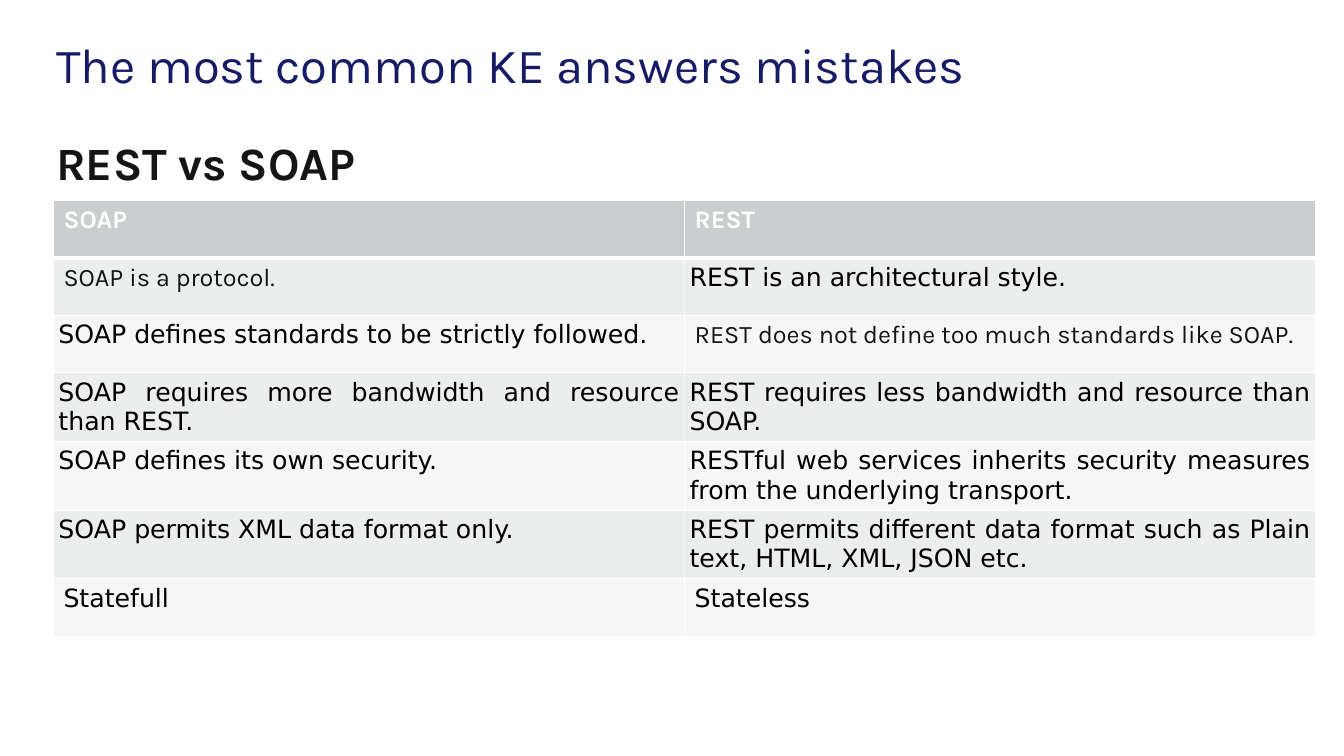
from typing import NamedTuple

from lxml import etree
from pptx import Presentation
from pptx import util as u
from pptx.dml.color import RGBColor
from pptx.enum import text
from pptx.oxml import ns

NAVY = RGBColor(0x17, 0x1B, 0x65)
INK = RGBColor(0x14, 0x15, 0x15)
CELL_INK = RGBColor(0x13, 0x15, 0x15)
BLACK = RGBColor(0x00, 0x00, 0x00)
WHITE = RGBColor(0xFF, 0xFF, 0xFF)
HEADER_FILL = RGBColor(0xCB, 0xCE, 0xCE)
BAND_FILLS = (RGBColor(0xF6, 0xF6, 0xF6), RGBColor(0xEC, 0xED, 0xED))


class Style(NamedTuple):
    font: str
    size: float
    color: RGBColor
    bold: bool = False


class Entry(NamedTuple):
    words: str
    style: Style
    justified: bool = False


TITLE = Style("Karla", 35, NAVY)
SUBTITLE = Style("Karla", 33, INK, True)
HEADER = Style("Karla", 18, WHITE, True)
KARLA = Style("Karla", 18, CELL_INK)
DEJAVU = Style("DejaVu Sans", 18, BLACK)

ROWS = [
    (Entry("SOAP", HEADER), Entry("REST", HEADER)),
    (Entry("SOAP is a protocol.", KARLA),
     Entry("REST is an architectural style.", DEJAVU, True)),
    (Entry("SOAP defines standards to be strictly followed.", DEJAVU, True),
     Entry("REST does not define too much standards like SOAP.", KARLA)),
    (Entry("SOAP requires more bandwidth and resource than REST.", DEJAVU, True),
     Entry("REST requires less bandwidth and resource than SOAP.", DEJAVU, True)),
    (Entry("SOAP defines its own security.", DEJAVU, True),
     Entry("RESTful web services inherits security measures from the underlying transport.",
           DEJAVU, True)),
    (Entry("SOAP permits XML data format only.", DEJAVU, True),
     Entry("REST permits different data format such as Plain text, HTML, XML, JSON etc.",
           DEJAVU, True)),
    (Entry("Statefull", DEJAVU), Entry("Stateless", DEJAVU)),
]


def write(tf, words: str, style: Style):
    """Put one styled run in the first paragraph and return the paragraph."""
    p = tf.paragraphs[0]
    r = p.add_run()
    r.text = words
    r.font.name = style.font
    r.font.size = u.Pt(style.size)
    r.font.bold = style.bold
    r.font.color.rgb = style.color
    return p


def write_heading(sp, words: str, style: Style) -> None:
    sp.text_frame.word_wrap = True
    sp.text_frame.auto_size = text.MSO_AUTO_SIZE.NONE
    p = write(sp.text_frame, words, style)
    p.alignment = text.PP_ALIGN.LEFT
    p.line_spacing = 0.9


def add_borders(cell, bottom: float) -> None:
    tc_pr = cell._tc.get_or_add_tcPr()
    for side, width in (("L", 1), ("R", 1), ("T", 1), ("B", bottom)):
        ln = etree.SubElement(tc_pr, ns.qn(f"a:ln{side}"), w=str(u.Pt(width)))
        fill = etree.SubElement(ln, ns.qn("a:solidFill"))
        etree.SubElement(fill, ns.qn("a:srgbClr"), val=str(WHITE))


def fill_cell(cell, entry: Entry, row: int) -> None:
    add_borders(cell, bottom=3 if row == 0 else 1)
    cell.fill.solid()
    cell.fill.fore_color.rgb = HEADER_FILL if row == 0 else BAND_FILLS[row % 2]
    p = write(cell.text_frame, entry.words, entry.style)
    if entry.justified:
        p.alignment = text.PP_ALIGN.JUSTIFY
        cell.margin_left = cell.margin_right = u.Inches(0.05)
        cell.margin_top = cell.margin_bottom = u.Inches(0.05)


def main() -> None:
    prs = Presentation()
    prs.slide_width, prs.slide_height = u.Inches(13.33), u.Inches(7.5)
    s = prs.slides.add_slide(prs.slide_layouts[5])

    # Title
    sp = s.shapes.title
    sp.left, sp.top = u.Inches(0.46), u.Inches(0.38)
    sp.width, sp.height = u.Inches(12.59), u.Inches(0.58)
    sp.text_frame.vertical_anchor = text.MSO_ANCHOR.MIDDLE
    write_heading(sp, "The most common KE answers mistakes", TITLE)

    # Subtitle
    sp = s.shapes.add_textbox(u.Inches(0.46), u.Inches(1.35), u.Inches(12.59), u.Inches(4.8))
    write_heading(sp, "REST vs SOAP", SUBTITLE)

    # Comparison table
    table = s.shapes.add_table(len(ROWS), 2, u.Inches(0.53), u.Inches(1.99),
                               u.Inches(12.52), u.Inches(0.57 * len(ROWS))).table
    table.horz_banding = False
    for i, row in enumerate(ROWS):
        for j, entry in enumerate(row):
            fill_cell(table.cell(i, j), entry, i)

    prs.save("out.pptx")


if __name__ == "__main__":
    main()
